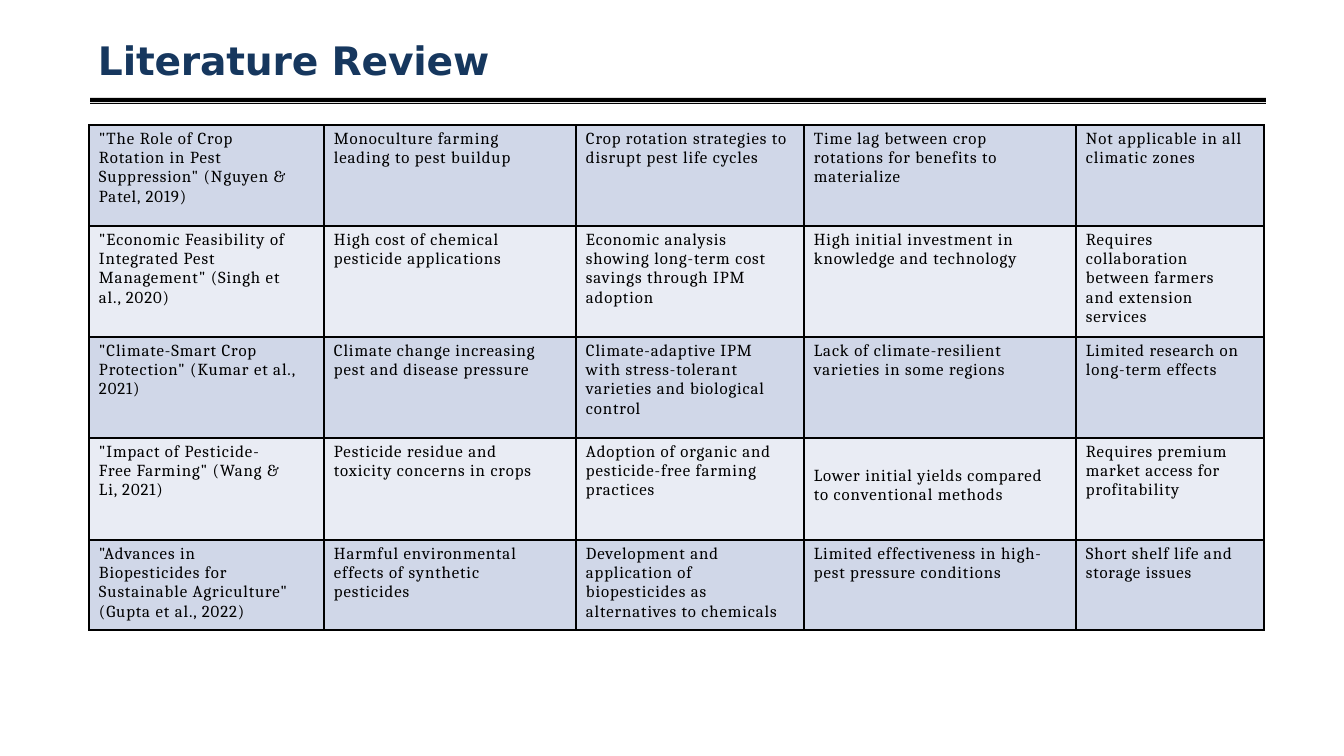
from lxml import etree
from pptx import Presentation
from pptx.dml.color import RGBColor
from pptx.enum.shapes import MSO_SHAPE
from pptx.oxml.ns import qn
from pptx.util import Emu, Pt

RECTANGLE = MSO_SHAPE.RECTANGLE
BLANK_LAYOUT = 6
PX_PER_INCH = 100.8
BLACK = "000000"
NAVY = "16375E"
ROW_FILLS = ("D0D7E8", "E9ECF4")

COLUMN_WIDTHS = (235, 252, 228, 272, 188)
ROW_HEIGHTS = (101, 111, 101, 102, 90)
RIGHT_MARGINS = (31, 31, 19, 28, 18)
RIGHT_MARGIN_EXCEPTIONS = {(0, 2): 6, (2, 0): 20, (1, 4): 25}
TOP_MARGIN = 4
TOP_MARGIN_EXCEPTIONS = {(3, 3): 28}

STUDIES = (
    ('"The Role of Crop Rotation in Pest Suppression" (Nguyen & Patel, 2019)',
     "Monoculture farming leading to pest buildup",
     "Crop rotation strategies to disrupt pest life cycles",
     "Time lag between crop rotations for benefits to materialize",
     "Not applicable in all climatic zones"),
    ('"Economic Feasibility of Integrated Pest Management" (Singh et al., 2020)',
     "High cost of chemical pesticide applications",
     "Economic analysis showing long-term cost savings through IPM adoption",
     "High initial investment in knowledge and technology",
     "Requires collaboration between farmers and extension services"),
    ('"Climate-Smart Crop Protection" (Kumar et al., 2021)',
     "Climate change increasing pest and disease pressure",
     "Climate-adaptive IPM with stress-tolerant varieties and biological control",
     "Lack of climate-resilient varieties in some regions",
     "Limited research on long-term effects"),
    ('"Impact of Pesticide-Free Farming" (Wang & Li, 2021)',
     "Pesticide residue and toxicity concerns in crops",
     "Adoption of organic and pesticide-free farming practices",
     "Lower initial yields compared to conventional methods",
     "Requires premium market access for profitability"),
    ('"Advances in Biopesticides for Sustainable Agriculture" (Gupta et al., 2022)',
     "Harmful environmental effects of synthetic pesticides",
     "Development and application of biopesticides as alternatives to chemicals",
     "Limited effectiveness in high-pest pressure conditions",
     "Short shelf life and storage issues"),
)


def px(length):
    return Emu(round(length * 914400 / PX_PER_INCH))


def color(value):
    return RGBColor.from_string(value)


def format_text(frame, font_name, size, text_color, spacing, bold=False):
    for para in frame.paragraphs:
        for span in para.runs:
            span.font.name = font_name
            span.font.size = Pt(size)
            span.font.bold = bold
            span.font.color.rgb = color(text_color)
            span.font._element.set("spc", str(spacing))


def set_margins(target, left, top, right, bottom):
    target.margin_left = px(left)
    target.margin_top = px(top)
    target.margin_right = px(right)
    target.margin_bottom = px(bottom)


def add_title(page, text):
    box = page.shapes.add_textbox(px(98), px(32), px(395), px(49))
    frame = box.text_frame
    frame.word_wrap = False
    set_margins(frame, 0, 4, 0, 0)
    frame.text = text
    format_text(frame, "DejaVu Sans", 28, NAVY, -10, bold=True)


def add_rule(page, top, height):
    rule = page.shapes.add_shape(RECTANGLE, px(90), px(top), px(1176), px(height))
    rule.shadow.inherit = False
    rule.fill.solid()
    rule.fill.fore_color.rgb = color(BLACK)
    rule.line.fill.background()


def add_borders(cell):
    properties = cell._tc.get_or_add_tcPr()
    for side in ("lnL", "lnR", "lnT", "lnB"):
        line = etree.SubElement(properties, qn(f"a:{side}"), w=str(Pt(1)))
        fill = etree.SubElement(line, qn("a:solidFill"))
        etree.SubElement(fill, qn("a:srgbClr"), val=BLACK)


def fill_cell(cell, text, background, top, right):
    set_margins(cell, 10, top, right, 0)
    cell.text_frame.text = text
    format_text(cell.text_frame, "Cambria", 12, BLACK, 65)
    add_borders(cell)
    cell.fill.solid()
    cell.fill.fore_color.rgb = color(background)


def add_review_table(page):
    frame = page.shapes.add_table(
        len(ROW_HEIGHTS), len(COLUMN_WIDTHS), px(89), px(125),
        px(sum(COLUMN_WIDTHS)), px(sum(ROW_HEIGHTS)))
    table = frame.table
    table.first_row = False
    table.horz_banding = False
    for column, width in zip(table.columns, COLUMN_WIDTHS):
        column.width = px(width)
    for row, height in zip(table.rows, ROW_HEIGHTS):
        row.height = px(height)
    for i, study in enumerate(STUDIES):
        for j, text in enumerate(study):
            top = TOP_MARGIN_EXCEPTIONS.get((i, j), TOP_MARGIN)
            right = RIGHT_MARGIN_EXCEPTIONS.get((i, j), RIGHT_MARGINS[j])
            fill_cell(table.cell(i, j), text, ROW_FILLS[i % 2], top, right)


def main():
    deck = Presentation()
    deck.slide_width = px(1344)
    deck.slide_height = px(756)
    page = deck.slides.add_slide(deck.slide_layouts[BLANK_LAYOUT])
    add_rule(page, 98, 4)
    add_rule(page, 103, 1)
    add_title(page, "Literature Review")
    add_review_table(page)
    deck.save("out.pptx")


if __name__ == "__main__":
    main()
